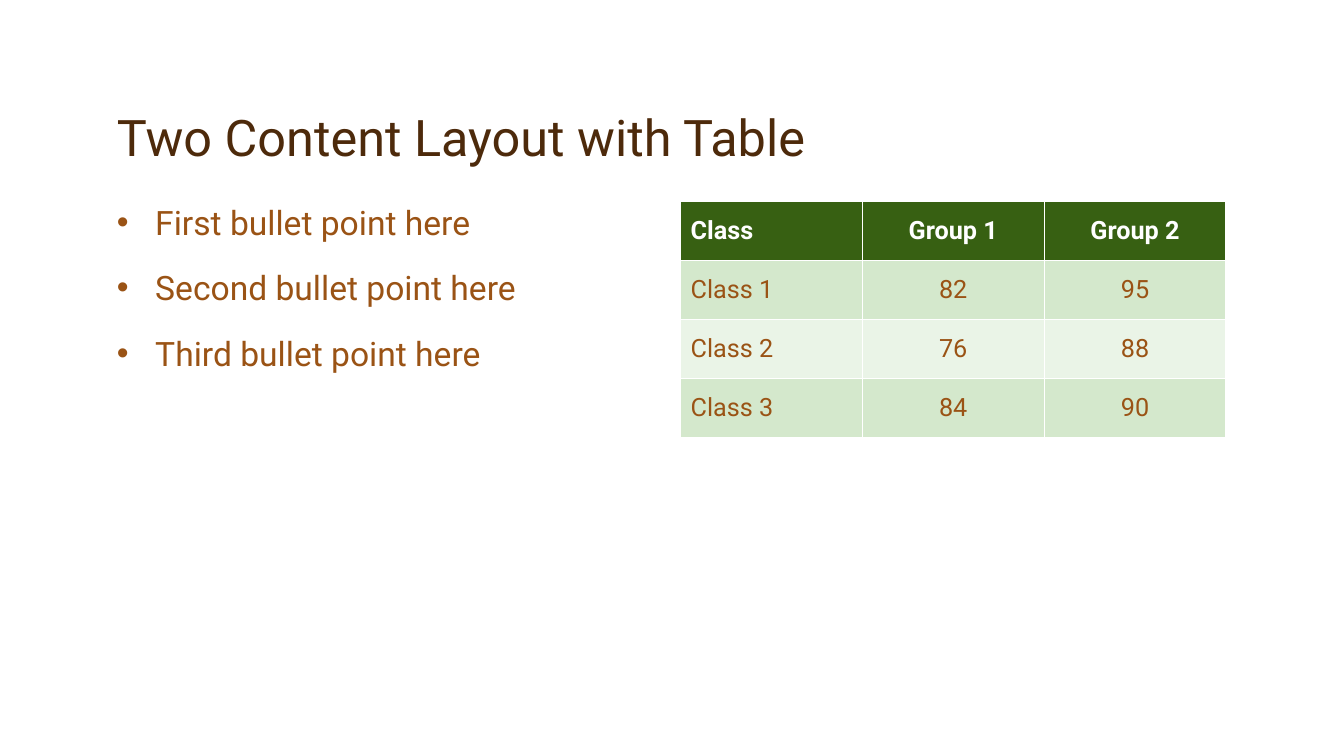
from dataclasses import dataclass

from lxml import etree
from pptx import Presentation
from pptx.dml.color import RGBColor
from pptx.enum.text import MSO_ANCHOR, MSO_AUTO_SIZE, PP_ALIGN
from pptx.oxml.ns import qn
from pptx.util import Inches, Pt

LEFT, CENTER = PP_ALIGN.LEFT, PP_ALIGN.CENTER
TOP, MIDDLE, BOTTOM = MSO_ANCHOR.TOP, MSO_ANCHOR.MIDDLE, MSO_ANCHOR.BOTTOM
NO_FIT = MSO_AUTO_SIZE.NONE

FONT = "Roboto"
WHITE = RGBColor(0xFF, 0xFF, 0xFF)
DARK = RGBColor(0x4D, 0x2A, 0x0B)
BROWN = RGBColor(0x9A, 0x53, 0x15)
GREEN = RGBColor(0x37, 0x60, 0x12)
LIGHT = RGBColor(0xD4, 0xE8, 0xCC)
PALE = RGBColor(0xEA, 0xF4, 0xE7)


@dataclass(frozen=True)
class Box:
    left: float
    top: float
    width: float
    height: float


@dataclass(frozen=True)
class Row:
    cells: tuple[str, ...]
    fill: RGBColor
    color: RGBColor = BROWN
    bold: bool = False


TITLE = Box(1.16, 0.33, 11, 1.33)
LIST = Box(1.16, 2, 5.42, 4.58)
GRID = Box(6.75, 2, 5.41, 2.34)

POINTS = ("First bullet point here", "Second bullet point here",
          "Third bullet point here")
ROWS = (
    Row(("Class", "Group 1", "Group 2"), GREEN, WHITE, True),
    Row(("Class 1", "82", "95"), LIGHT),
    Row(("Class 2", "76", "88"), PALE),
    Row(("Class 3", "84", "90"), LIGHT),
)


def add_bullet(para) -> None:
    props = para._p.get_or_add_pPr()
    props.set("marL", str(Inches(0.38)))
    props.set("indent", str(-Inches(0.38)))
    tint = etree.SubElement(props, qn("a:buClr"))
    etree.SubElement(tint, qn("a:srgbClr"), val=str(BROWN))
    etree.SubElement(props, qn("a:buFont"), typeface="Arial")
    etree.SubElement(props, qn("a:buChar"), char="•")


def put_text(frame, *lines: str, size: float, color: RGBColor,
             bold: bool = False, align=LEFT, gap: float = 0,
             pitch: float = 1.0, bullet: bool = False) -> None:
    for i, line in enumerate(lines):
        para = frame.add_paragraph() if i else frame.paragraphs[0]
        if bullet:
            add_bullet(para)
        para.alignment = align
        para.line_spacing = pitch
        para.space_before = Pt(gap if i else 0)
        run = para.add_run()
        run.text = line
        font = run.font
        font.name, font.size, font.bold = FONT, Pt(size), bold
        font.color.rgb = color


def place(shape, box: Box, anchor):
    shape.left, shape.top = Inches(box.left), Inches(box.top)
    shape.width, shape.height = Inches(box.width), Inches(box.height)
    frame = shape.text_frame
    frame.margin_left = frame.margin_right = 0
    frame.margin_top = frame.margin_bottom = 0
    frame.vertical_anchor = anchor
    frame.word_wrap = True
    frame.auto_size = NO_FIT
    return frame


def add_grid(slide, box: Box, rows: tuple[Row, ...]) -> None:
    # The default table style supplies the white rules
    table = slide.shapes.add_table(
        len(rows), len(rows[0].cells), Inches(box.left), Inches(box.top),
        Inches(box.width), Inches(box.height)).table
    for r, row in enumerate(rows):
        for c, text in enumerate(row.cells):
            cell = table.cell(r, c)
            cell.fill.solid()
            cell.fill.fore_color.rgb = row.fill
            cell.vertical_anchor = MIDDLE
            put_text(cell.text_frame, text, size=18, color=row.color,
                     bold=row.bold, align=CENTER if c else LEFT)


def main() -> None:
    deck = Presentation()
    deck.slide_width, deck.slide_height = Inches(13.33), Inches(7.5)
    slide = deck.slides.add_slide(deck.slide_layouts[1])

    # Title
    head = place(slide.shapes.title, TITLE, BOTTOM)
    put_text(head, "Two Content Layout with Table", size=36, color=DARK,
             pitch=0.9)

    # Bullet list
    body = place(slide.placeholders[1], LIST, TOP)
    put_text(body, *POINTS, size=24, color=BROWN, gap=18, bullet=True)

    # Table of classes
    add_grid(slide, GRID, ROWS)

    deck.save("out.pptx")


if __name__ == "__main__":
    main()
